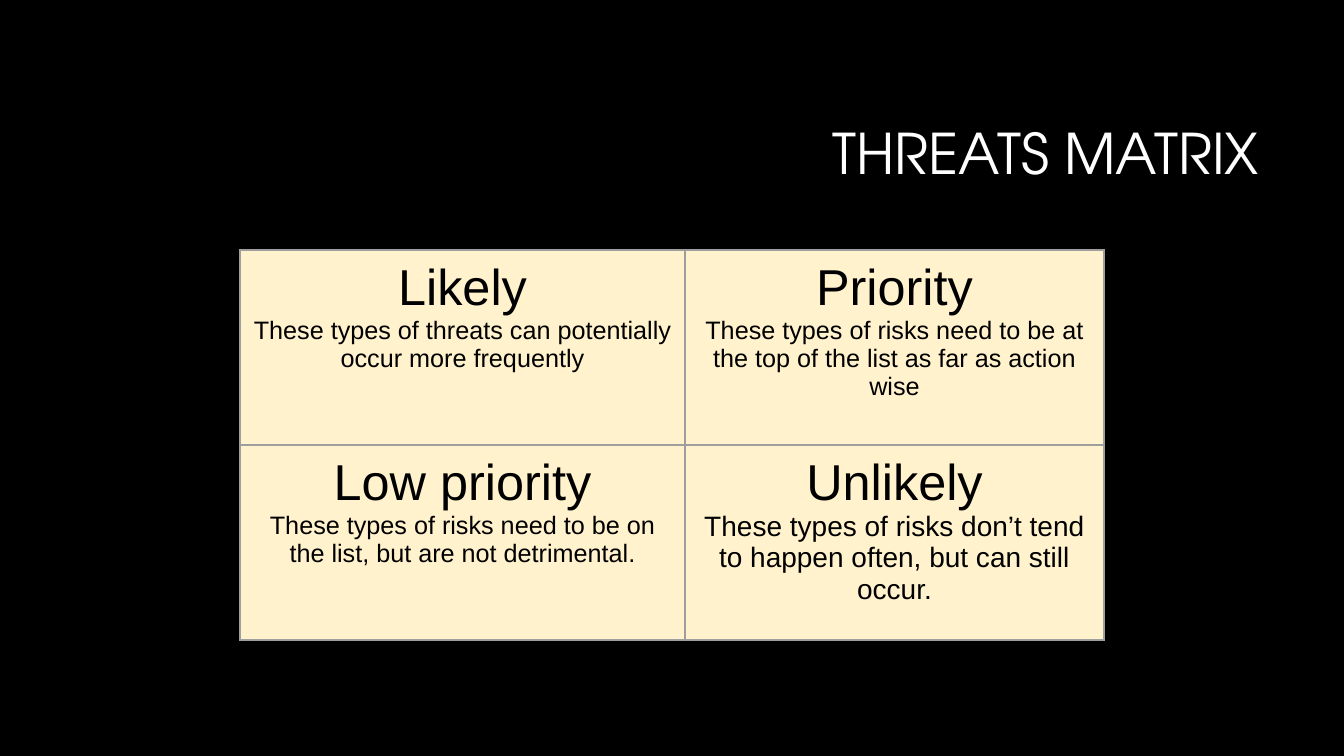
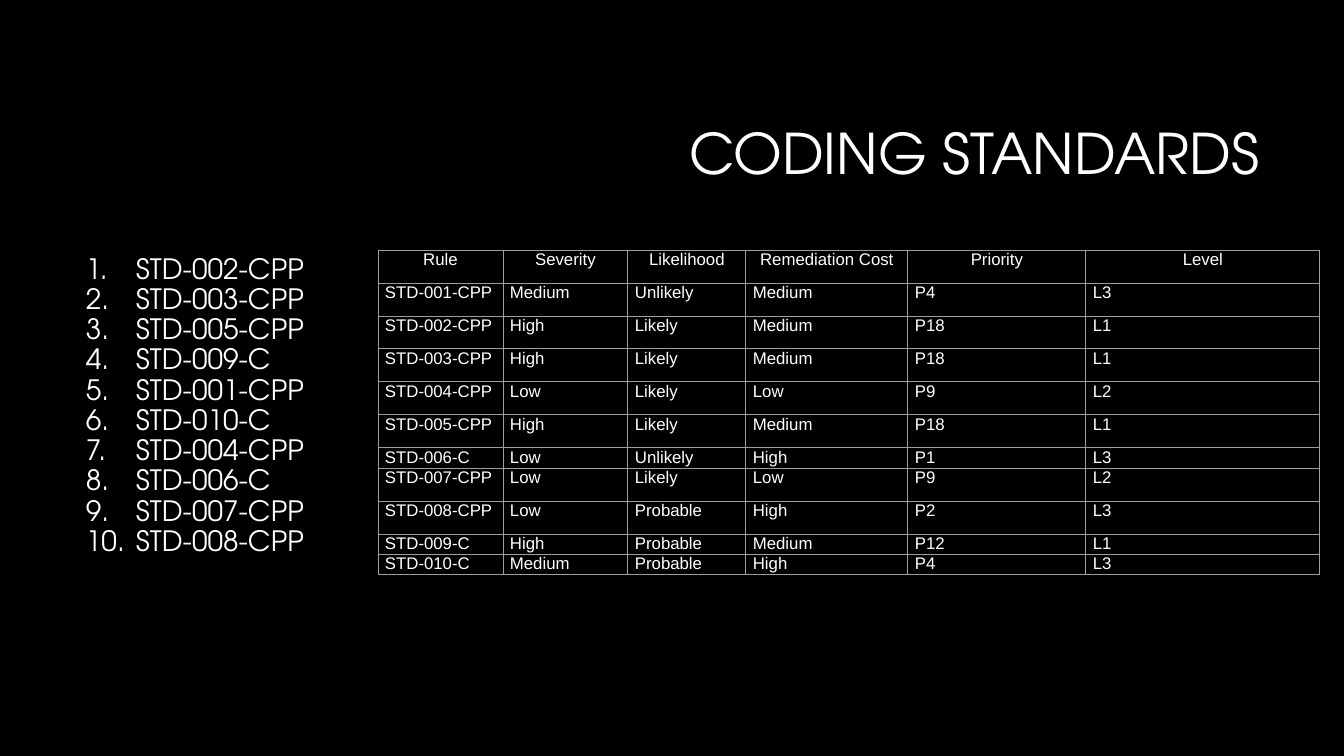
from dataclasses import dataclass

from lxml import etree
from pptx import Presentation
from pptx import util as u
from pptx.dml import color
from pptx.enum import text as t
from pptx.oxml import ns


@dataclass(frozen=True)
class Theme:
    back: str = "000000"
    light: str = "FFFFFF"
    dark: str = "000000"
    cream: str = "FFF2CC"
    rule: str = "9E9E9E"
    head: str = "TeX Gyre Adventor"
    body: str = "Arial"
    title: int = 40
    quad: int = 36
    note: int = 18
    large: int = 20
    item: int = 20
    small: int = 12
    thick: float = 2.25
    thin: float = 0.75
    lead: float = 0.9


TH = Theme()
WIDE, HIGH = 1344, 756
MID, LEFT, RIGHT = t.PP_ALIGN.CENTER, t.PP_ALIGN.LEFT, t.PP_ALIGN.RIGHT

QUADS = [
    [("Likely", "These types of threats can potentially occur more frequently", TH.note),
     ("Priority", "These types of risks need to be at the top of the list "
      "as far as action wise", TH.note)],
    [("Low priority", "These types of risks need to be on the list, "
      "but are not detrimental.", TH.note),
     ("Unlikely", "These types of risks don’t tend to happen often, "
      "but can still occur.", TH.large)],
]
ORDER = ["STD-002-CPP", "STD-003-CPP", "STD-005-CPP", "STD-009-C", "STD-001-CPP",
         "STD-010-C", "STD-004-CPP", "STD-006-C", "STD-007-CPP", "STD-008-CPP"]
RULES = [
    ("Rule", "Severity", "Likelihood", "Remediation Cost", "Priority", "Level"),
    ("STD-001-CPP", "Medium", "Unlikely", "Medium", "P4", "L3"),
    ("STD-002-CPP", "High", "Likely", "Medium", "P18", "L1"),
    ("STD-003-CPP", "High", "Likely", "Medium", "P18", "L1"),
    ("STD-004-CPP", "Low", "Likely", "Low", "P9", "L2"),
    ("STD-005-CPP", "High", "Likely", "Medium", "P18", "L1"),
    ("STD-006-C", "Low", "Unlikely", "High", "P1", "L3"),
    ("STD-007-CPP", "Low", "Likely", "Low", "P9", "L2"),
    ("STD-008-CPP", "Low", "Probable", "High", "P2", "L3"),
    ("STD-009-C", "High", "Probable", "Medium", "P12", "L1"),
    ("STD-010-C", "Medium", "Probable", "High", "P4", "L3"),
]


def px(num):
    return u.Emu(round(num * 914400 / 100.8))


def tint(code):
    return color.RGBColor.from_string(code)


def node(parent, tag, **attrs):
    return etree.SubElement(parent, ns.qn(tag), attrs)


def paint(parent, tag, code):
    """Add a solid colour, inside a wrapping element, to the parent."""
    node(node(parent, tag), "a:srgbClr", val=code)


def pad(area, side, edge):
    area.margin_left = area.margin_right = px(side)
    area.margin_top = area.margin_bottom = px(edge)


def style(para, face, size, code, align):
    para.alignment = align
    para.font.name = face
    para.font.size = u.Pt(size)
    para.font.color.rgb = tint(code)


def frame(slide, box, anchor):
    area = slide.shapes.add_textbox(*map(px, box)).text_frame
    area.word_wrap = True
    area.vertical_anchor = anchor
    pad(area, 10, 5)
    return area


def title(slide, box, words):
    area = frame(slide, box, t.MSO_ANCHOR.MIDDLE)
    area.text = words
    para = area.paragraphs[0]
    para.line_spacing = TH.lead
    style(para, TH.head, TH.title, TH.light, RIGHT)


def ranks(slide, box, items):
    """Place a numbered list with hanging numbers."""
    area = frame(slide, box, t.MSO_ANCHOR.TOP)
    area.text = "\n".join(items)
    for para in area.paragraphs:
        para.line_spacing = TH.lead
        props = para._p.get_or_add_pPr()
        props.set("marL", str(px(50)))
        props.set("indent", str(-px(50)))
        paint(props, "a:buClr", TH.light)
        node(props, "a:buAutoNum", type="arabicPeriod")
        style(para, TH.head, TH.item, TH.light, LEFT)


def edge(cell, width):
    props = cell._tc.get_or_add_tcPr()
    for side in "LRTB":
        line = node(props, "a:ln" + side, w=str(u.Pt(width)))
        paint(line, "a:solidFill", TH.rule)


def grid(slide, spot, cols, rows, line, fill):
    """Place a bordered table at a corner and fill each cell by the given rule."""
    box = (*spot, sum(cols), sum(rows))
    table = slide.shapes.add_table(len(rows), len(cols), *map(px, box)).table
    table.first_row = table.horz_banding = False
    for col, wide in zip(table.columns, cols):
        col.width = px(wide)
    for row, (band, high) in enumerate(zip(table.rows, rows)):
        band.height = px(high)
        for col, cell in enumerate(band.cells):
            edge(cell, line)
            fill(cell, row, col)


def quad(cell, row, col):
    name, note, size = QUADS[row][col]
    pad(cell, 10, 10)
    cell.fill.solid()
    cell.fill.fore_color.rgb = tint(TH.cream)
    cell.text = f"{name}\n{note}"
    for para, pts in zip(cell.text_frame.paragraphs, (TH.quad, size)):
        style(para, TH.body, pts, TH.dark, MID)


def entry(cell, row, col):
    pad(cell, 7, 0)
    cell.fill.background()
    cell.text = RULES[row][col]
    align = LEFT if row else MID
    style(cell.text_frame.paragraphs[0], TH.body, TH.small, TH.light, align)


def page(deck, words):
    slide = deck.slides.add_slide(deck.slide_layouts[6])
    title(slide, (320, 85, 949, 142), words)
    return slide


def threats(deck):
    slide = page(deck, "THREATS MATRIX")
    grid(slide, (240, 250), (445, 419), (195, 195), TH.thick, quad)


def codes(deck):
    slide = page(deck, "CODING STANDARDS")
    ranks(slide, (76, 250, 244, 463), ORDER)
    short = ("STD-006-C", "STD-009-C", "STD-010-C")
    rows = [19 if rule[0] in short else 33 for rule in RULES]
    grid(slide, (378, 250), (125, 125, 118, 162, 178, 234), rows, TH.thin, entry)


def main():
    deck = Presentation()
    deck.slide_width, deck.slide_height = px(WIDE), px(HIGH)
    back = deck.slide_master.background.fill
    back.solid()
    back.fore_color.rgb = tint(TH.back)
    threats(deck)
    codes(deck)
    deck.save("out.pptx")


if __name__ == "__main__":
    main()
